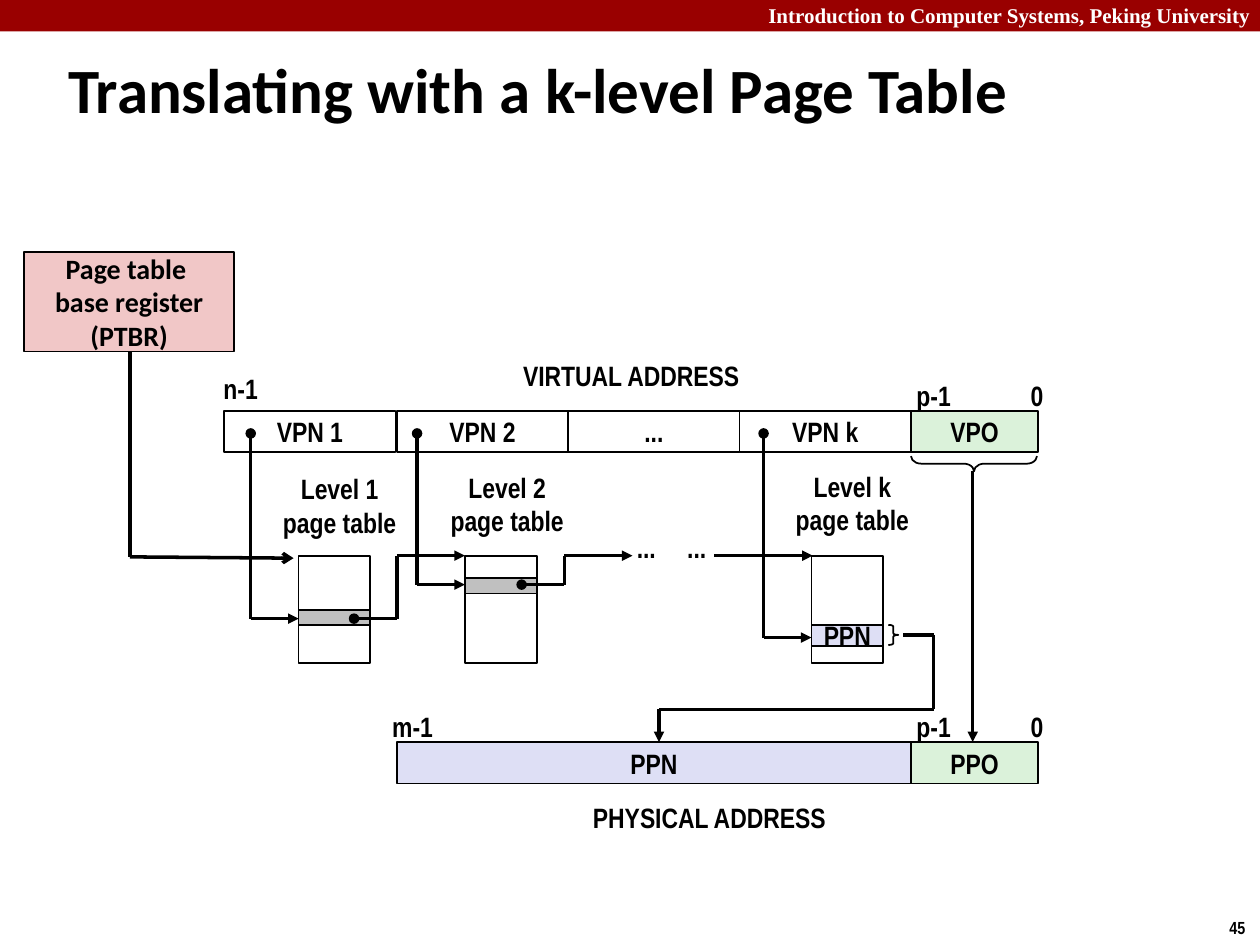
from dataclasses import dataclass
from itertools import pairwise

from lxml.etree import SubElement
from pptx import Presentation
from pptx.dml.color import RGBColor
from pptx.enum.shapes import MSO_CONNECTOR, MSO_SHAPE
from pptx.enum.text import MSO_ANCHOR, MSO_AUTO_SIZE, PP_ALIGN
from pptx.oxml.ns import qn
from pptx.util import Inches, Pt

COLORS = {
    "black": "000000", "white": "FFFFFF", "banner": "990000", "register": "F1C7C7",
    "offset": "DBF2DA", "page": "DEDFF5", "entry": "C0C0C0",
}
COLUMNS, ROWS = 10, 7.5
UNIT = Inches(10) / COLUMNS
FIELD_LEFT, FIELD_W, FIELD_H = 3.15, 1.36, 0.33
OFFSET_LEFT, OFFSET_W = 7.23, 1.01
VIRTUAL_TOP, PHYSICAL_TOP = 3.26, 5.89
TABLE_TOP, TABLE_W, TABLE_H = 4.41, 0.57, 0.85
LABEL_H = 0.37

Point = tuple[float, float]
Box = tuple[float, float, float, float]


@dataclass(frozen=True)
class Field:
    """One field of an address."""
    text: str
    left: float
    top: float
    width: float = FIELD_W
    fill: str | None = None


@dataclass(frozen=True)
class Level:
    """One page table with its selected entry and its index arrow."""
    name: str
    left: float
    label: Point
    entry_top: float
    arrow_y: float
    entry_h: float = 0.12
    fill: str = "entry"
    text: str = ""


@dataclass(frozen=True)
class Label:
    """A one-line caption."""
    text: str
    left: float
    top: float
    width: float


FIELDS = [
    Field("VPN 1", 1.78, VIRTUAL_TOP),
    *(Field(text, FIELD_LEFT + i * FIELD_W, VIRTUAL_TOP)
      for i, text in enumerate(("VPN 2", "...", "VPN k"))),
    Field("VPO", OFFSET_LEFT, VIRTUAL_TOP, OFFSET_W, "offset"),
    Field("PPN", FIELD_LEFT, PHYSICAL_TOP, 3 * FIELD_W, "page"),
    Field("PPO", OFFSET_LEFT, PHYSICAL_TOP, OFFSET_W, "offset"),
]
LEVELS = [
    Level("1", 2.37, (2.14, 3.69), 4.84, 4.91),
    Level("2", 3.69, (3.47, 3.68), 4.59, 4.64),
    Level("k", 6.44, (6.21, 3.67), 4.96, 5.06, 0.17, "page", "PPN"),
]
LABELS = [
    Label("VIRTUAL ADDRESS", 4.04, 2.79, 1.94),
    Label("PHYSICAL ADDRESS", 4.59, 6.3, 2.08),
    Label("n-1", 1.67, 2.9, 0.48),
    Label("m-1", 3.01, 5.58, 0.53),
    *(Label("p-1", 7.17, y, 0.48) for y in (2.95, 5.58)),
    *(Label("0", 8.08, y, 0.3) for y in (2.95, 5.58)),
    *(Label("...", x, 4.16, 0.36) for x in (4.95, 5.35)),
]
ROUTES = [
    ([(1.03, 2.79), (1.03, 4.42), (2.33, 4.43)], None, "arrow"),
    ([(2.81, 4.91), (3.15, 4.91), (3.15, 4.41), (3.69, 4.41)], "oval", "triangle"),
    ([(4.14, 4.64), (4.48, 4.64), (4.48, 4.41), (5.02, 4.41)], "oval", "triangle"),
    ([(5.67, 4.41), (6.45, 4.41)], None, "triangle"),
    ([(7.72, 3.74), (7.72, 5.89)], None, "triangle"),
    ([(7.17, 5.04), (7.41, 5.04), (7.41, 5.63), (5.23, 5.63), (5.23, 5.89)],
     None, "triangle"),
]


def rgb(name: str) -> RGBColor:
    """Look up a colour by name."""
    return RGBColor.from_string(COLORS[name])


def emu(*lengths: float) -> list[int]:
    """Turn grid lengths into slide lengths."""
    return [round(length * UNIT) for length in lengths]


def write(tf, text: str, *, size: float = 16, font: str = "Arial Narrow", color: str = "black",
          align=PP_ALIGN.CENTER, anchor=MSO_ANCHOR.MIDDLE, wrap: bool = False,
          auto_size=MSO_AUTO_SIZE.NONE) -> None:
    """Fill a text frame with formatted bold text."""
    tf.text = text
    tf.word_wrap, tf.auto_size, tf.vertical_anchor = wrap, auto_size, anchor
    for p in tf.paragraphs:
        p.alignment = align
        for r in p.runs:
            r.font.size, r.font.name, r.font.bold = Pt(size), font, True
            r.font.color.rgb = rgb(color)


def draw_shape(s, box: Box, *, kind=MSO_SHAPE.RECTANGLE, fill: str | None = None,
               line: str | None = "black"):
    """Draw a flat preset shape."""
    sp = s.shapes.add_shape(kind, *emu(*box))
    sp.shadow.inherit = False
    if fill:
        sp.fill.solid()
        sp.fill.fore_color.rgb = rgb(fill)
    else:
        sp.fill.background()
    if line:
        sp.line.color.rgb, sp.line.width = rgb(line), Pt(1)
    else:
        sp.line.fill.background()
    return sp


def draw_text(s, box: Box, text: str, **style) -> None:
    """Draw a text box that fits its text."""
    tf = s.shapes.add_textbox(*emu(*box)).text_frame
    write(tf, text, auto_size=MSO_AUTO_SIZE.SHAPE_TO_FIT_TEXT, **style)


def draw_route(s, points: list[Point], head: str | None = None, tail: str | None = None) -> None:
    """Draw straight segments through the points, with ends on the outer two."""
    segments = list(pairwise(points))
    for i, (start, end) in enumerate(segments):
        sp = s.shapes.add_connector(MSO_CONNECTOR.STRAIGHT, *emu(*start, *end))
        sp.line.color.rgb, sp.line.width = rgb("black"), Pt(2)
        ln = sp.line._get_or_add_ln()
        if head and i == 0:
            SubElement(ln, qn("a:headEnd"), type=head)
        if tail and i == len(segments) - 1:
            SubElement(ln, qn("a:tailEnd"), type=tail)
        SubElement(sp._element.spPr, qn("a:effectLst"))


def draw_level(s, level: Level) -> None:
    """Draw a page table, its selected entry, its caption and its index arrow."""
    draw_shape(s, (level.left, TABLE_TOP, TABLE_W, TABLE_H))
    entry = draw_shape(s, (level.left, level.entry_top, TABLE_W, level.entry_h), fill=level.fill)
    if level.text:
        write(entry.text_frame, level.text)
    draw_text(s, (*level.label, 1.11, 0.64), f"Level {level.name}\npage table")
    x = level.left - 0.38
    draw_route(s, [(x, 3.44), (x, level.arrow_y), (level.left, level.arrow_y)], "oval", "triangle")


def draw_brace(s, box: Box, bend: float, rotation: float = 0) -> None:
    """Draw a right brace."""
    sp = draw_shape(s, box, kind=MSO_SHAPE.RIGHT_BRACE)
    sp.adjustments[0], sp.adjustments[1] = bend, 0.5
    sp.rotation = rotation


def main() -> None:
    """Build the slide and save it."""
    prs = Presentation()
    prs.slide_width, prs.slide_height = emu(COLUMNS, ROWS)
    s = prs.slides.add_slide(prs.slide_layouts[5])
    title = s.shapes.title
    title.left, title.top, title.width, title.height = emu(0.44, 0.27, 9.06, 0.86)
    write(title.text_frame, "Translating with a k-level Page Table", size=36, font="Calibri",
          align=PP_ALIGN.LEFT, wrap=True)
    draw_shape(s, (0, 0, COLUMNS, 0.25), fill="banner", line=None)
    draw_text(s, (6, -0.03, 4.07, 0.3), "Introduction to Computer Systems, Peking University",
              size=12, font="Times New Roman", color="white", align=PP_ALIGN.LEFT,
              anchor=MSO_ANCHOR.TOP, wrap=True)
    draw_text(s, (9.66, 7.23, 0.34, 0.27), "45", size=10, align=PP_ALIGN.LEFT,
              anchor=MSO_ANCHOR.TOP)
    register = draw_shape(s, (0.19, 2, 1.67, 0.79), fill="register")
    write(register.text_frame, "Page table \vbase register\n(PTBR)", font="Calibri", wrap=True)
    for field in FIELDS:
        sp = draw_shape(s, (field.left, field.top, field.width, FIELD_H), fill=field.fill)
        write(sp.text_frame, field.text)
    for level in LEVELS:
        draw_level(s, level)
    for label in LABELS:
        draw_text(s, (label.left, label.top, label.width, LABEL_H), label.text)
    for points, head, tail in ROUTES:
        draw_route(s, points, head, tail)
    draw_brace(s, (7.67, 3.18, 0.12, 1), 0.68, 90)
    draw_brace(s, (7.05, 4.96, 0.08, 0.16), 0.16)
    prs.save("out.pptx")


if __name__ == "__main__":
    main()
